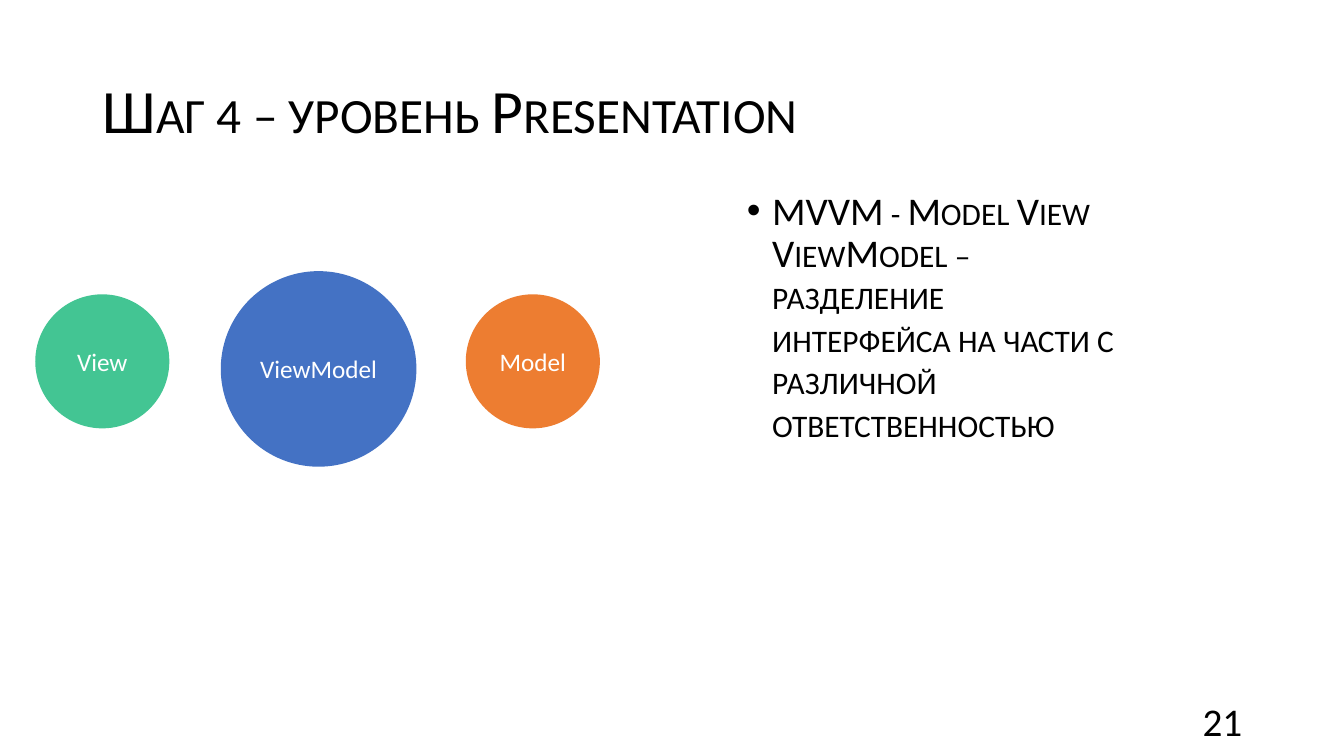
"""Build the slide on the Presentation layer and its MVVM parts."""
from lxml import etree
from pptx import Presentation, util as u
from pptx.dml.color import RGBColor
from pptx.enum import shapes, text
from pptx.oxml.ns import qn

FONT = "Calibri"
BLACK, WHITE = "000000", "FFFFFF"
LEFT, CENTER, RIGHT = text.PP_ALIGN.LEFT, text.PP_ALIGN.CENTER, text.PP_ALIGN.RIGHT
TOP, MIDDLE = text.MSO_ANCHOR.TOP, text.MSO_ANCHOR.MIDDLE

TITLE = "Шаг 4 – уровень Presentation"
DEFINITION = "MVVM - Model View ViewModel – разделение интерфейса на части с различной ответственностью"
NUMBER = "21"
CIRCLES = [
    ("View", 0.35, 2.92, 1.33, "43C593"),
    ("ViewModel", 2.19, 2.69, 1.94, "4472C4"),
    ("Model", 4.62, 2.92, 1.33, "ED7D31"),
]


def color(value):
    return RGBColor.from_string(value)


def write(holder, words, size, ink=BLACK, align=LEFT, anchor=MIDDLE,
          small_caps=False, bullet=False, spacing=None):
    frame = holder.text_frame
    frame.word_wrap = True
    frame.vertical_anchor = anchor
    line = frame.paragraphs[0]
    line.alignment = align
    if spacing:
        line.line_spacing = spacing
    if bullet:
        props = line._p.get_or_add_pPr()
        props.set("marL", str(u.Inches(0.25)))
        props.set("indent", str(u.Inches(-0.25)))
        etree.SubElement(props, qn("a:buFont")).set("typeface", "Arial")
        etree.SubElement(props, qn("a:buChar")).set("char", "•")
    run = line.add_run()
    run.text = words
    run.font.name = FONT
    run.font.size = u.Pt(size)
    run.font.color.rgb = color(ink)
    if small_caps:
        run._r.get_or_add_rPr().set("cap", "small")


def add_label(slide, place, words, size, **style):
    label = slide.shapes.add_textbox(*map(u.Inches, place))
    write(label, words, size, **style)


def add_circle(slide, name, left, top, diameter, fill):
    box = map(u.Inches, (left, top, diameter, diameter))
    circle = slide.shapes.add_shape(shapes.MSO_SHAPE.OVAL, *box)
    circle.shadow.inherit = False
    circle.fill.solid()
    circle.fill.fore_color.rgb = color(fill)
    circle.line.fill.background()
    frame = circle.text_frame
    frame.margin_left = frame.margin_right = 0
    write(circle, name, 18, ink=WHITE, align=CENTER)


def main():
    deck = Presentation()
    deck.slide_width, deck.slide_height = u.Inches(13.33), u.Inches(7.5)
    slide = deck.slides.add_slide(deck.slide_layouts[6])
    add_label(slide, (0.92, 0.4, 11.5, 1.45), TITLE, 44, small_caps=True, spacing=0.9)
    add_label(slide, (7.31, 1.85, 3.92, 4.76), DEFINITION, 28, anchor=TOP,
              small_caps=True, bullet=True, spacing=0.9)
    add_label(slide, (9.42, 6.95, 3, 0.4), NUMBER, 28, align=RIGHT)
    for circle in CIRCLES:
        add_circle(slide, *circle)
    deck.save("out.pptx")


if __name__ == "__main__":
    main()
